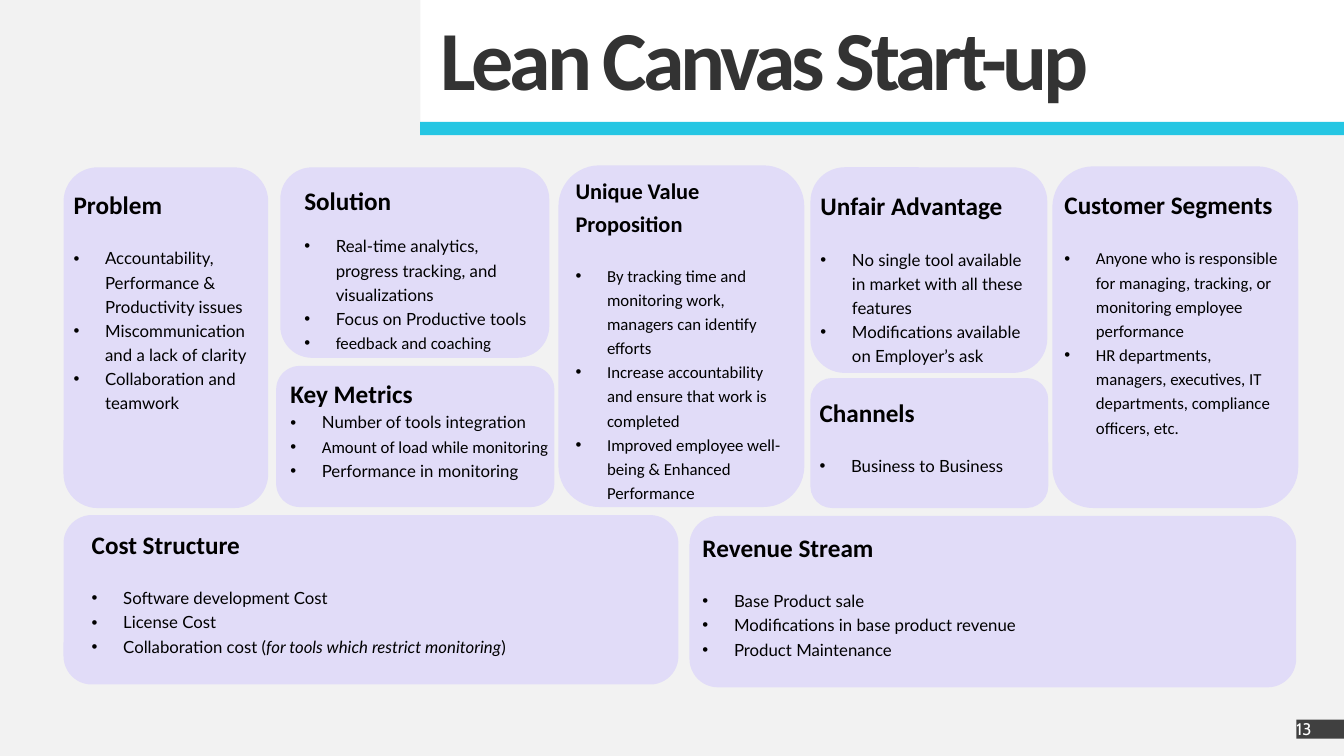
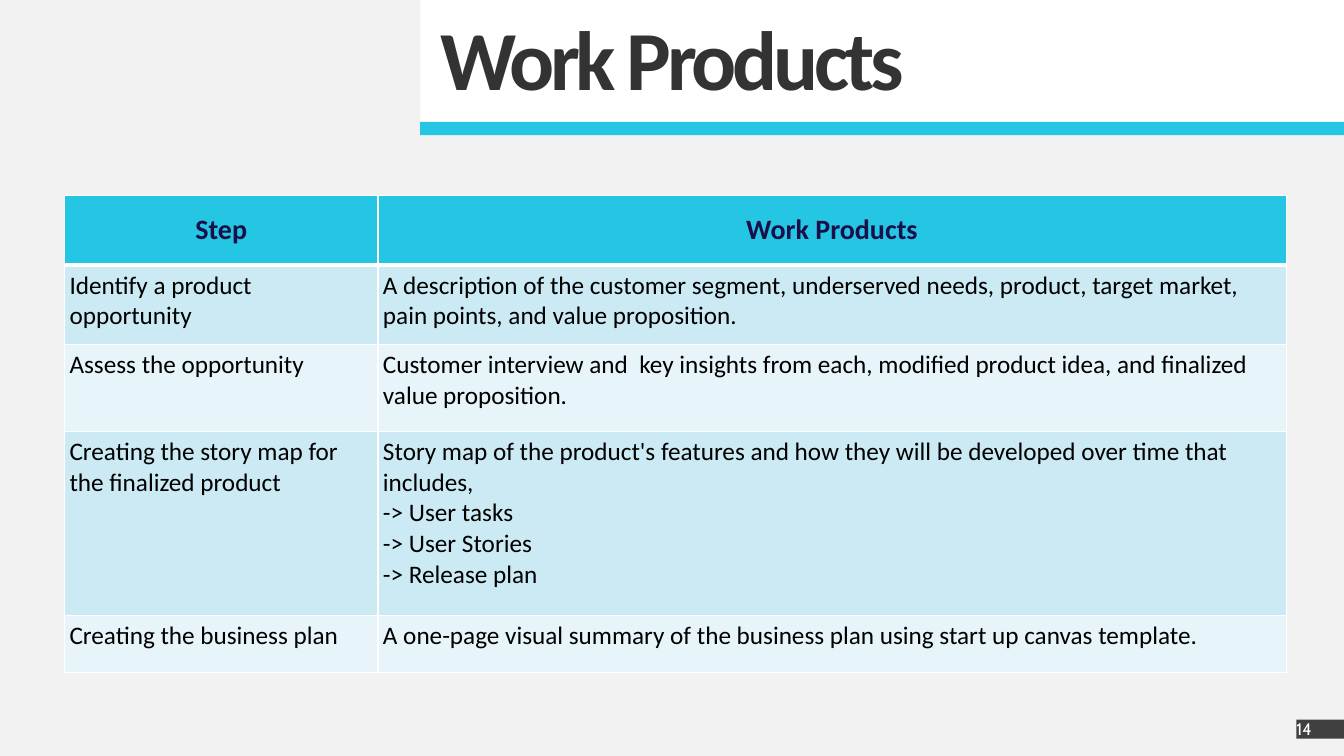
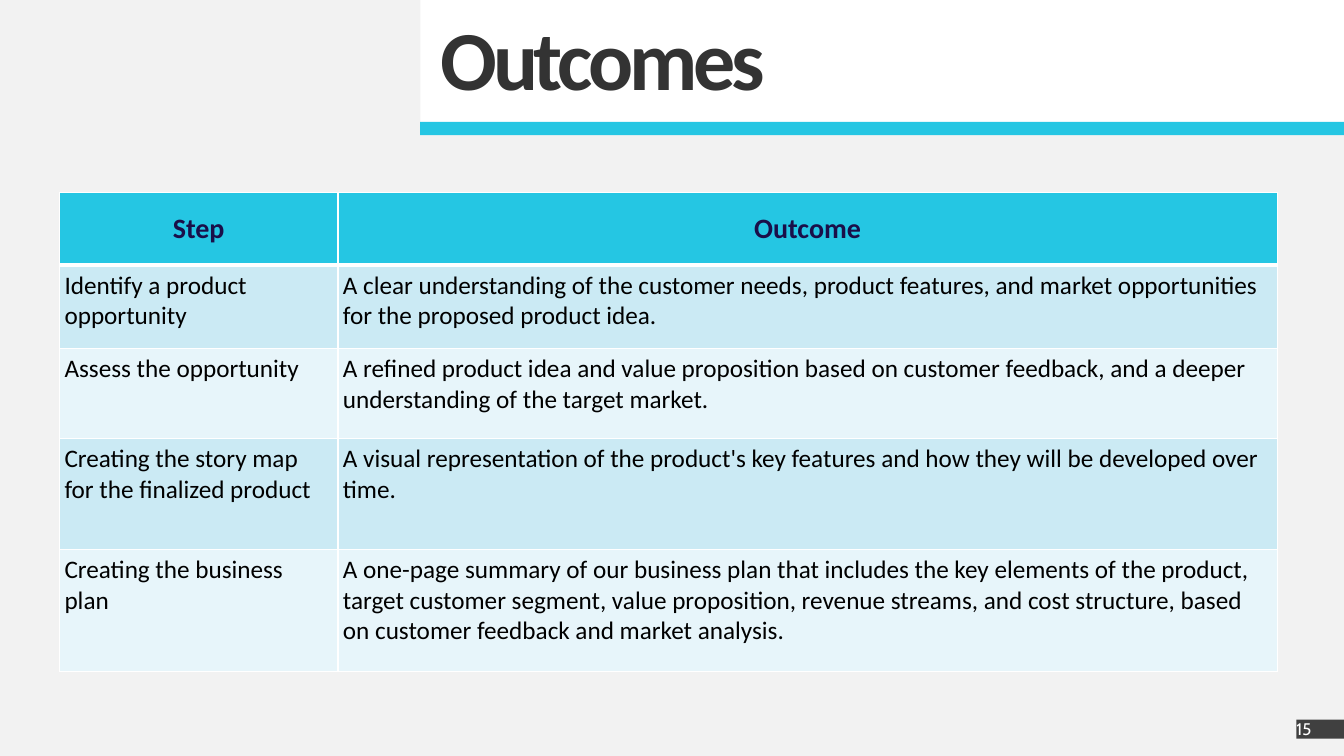
from dataclasses import dataclass

from lxml import etree
from pptx import Presentation
from pptx.dml.color import RGBColor
from pptx.enum.shapes import MSO_SHAPE
from pptx.enum.text import MSO_ANCHOR, MSO_AUTO_SIZE, PP_ALIGN
from pptx.oxml.ns import qn
from pptx.util import Pt

RECTANGLE = MSO_SHAPE.RECTANGLE
ROUNDED = MSO_SHAPE.ROUNDED_RECTANGLE
TOP, MIDDLE = MSO_ANCHOR.TOP, MSO_ANCHOR.MIDDLE
LEFT, CENTER = PP_ALIGN.LEFT, PP_ALIGN.CENTER
NO_AUTOFIT = MSO_AUTO_SIZE.NONE
TITLE_ONLY = 5


@dataclass(frozen=True)
class Theme:
    background: str = "F2F2F2"
    white: str = "FFFFFF"
    accent: str = "25C6E3"
    card: str = "E1DCF8"
    title: str = "333333"
    text: str = "000000"
    table_heading: str = "1A0F49"
    row_bands: tuple = ("CBEAF4", "E7F5FA")
    number_box: str = "404040"
    main_font: str = "Calibri"
    list_font: str = "Lato"
    number_font: str = "Cabin"
    title_size: float = 60
    table_heading_size: float = 20
    heading_size: float = 18
    small_heading_size: float = 16
    cell_size: float = 18
    list_size: float = 12


THEME = Theme()


@dataclass(frozen=True)
class Card:
    """A rounded panel with the box of its text; items are strings or lists of (text, format)."""
    heading: str
    panel: tuple
    text_box: tuple
    items: list
    font: str = THEME.list_font
    heading_size: float = THEME.heading_size
    gap: float = 17.6


CARDS = [
    Card("Problem", (45.4, 119.5, 146.2, 243.4), (49, 127.4, 136, 164),
         ["Accountability, Performance & Productivity issues",
          "Miscommunication and a lack of clarity",
          "Collaboration and teamwork"]),
    Card("Solution", (200.2, 119.5, 192.2, 136.1), (213.8, 124.6, 177.8, 142.6),
         ["Real-time analytics, progress tracking, and visualizations",
          "Focus on Productive tools",
          [("feedback and coaching", {"font": THEME.main_font})]],
         gap=11.7),
    Card("Key Metrics", (197.3, 261.4, 198.7, 100.8), (203.8, 262.1, 195.8, 96.5),
         ["Number of tools integration",
          [("Amount of load while monitoring", {"font": THEME.main_font})],
          "Performance in monitoring"],
         gap=0),
    Card("Unique Value Proposition", (398.9, 118.1, 175.7, 244.1), (407.5, 119.5, 162, 234.7),
         ["By tracking time and monitoring work, managers can identify efforts",
          "Increase accountability and ensure that work is completed",
          "Improved employee well-being & Enhanced Performance"],
         font=THEME.main_font, heading_size=THEME.small_heading_size),
    Card("Unfair Advantage", (578.9, 119.5, 169.2, 146.9), (582.5, 128.2, 154.1, 130.3),
         ["No single tool available in market with all these features",
          "Modifications available on Employer’s ask"]),
    Card("Channels", (578.9, 270, 169.9, 92.9), (581.8, 275.8, 165.6, 63.4),
         ["Business to Business"]),
    Card("Customer Segments", (751.7, 118.8, 175.7, 244.1), (756.7, 127.4, 164.2, 239.8),
         ["Anyone who is responsible for managing, tracking, or monitoring employee performance",
          "HR departments, managers, executives, IT departments, compliance officers, etc."],
         font=THEME.main_font),
    Card("Cost Structure", (45.4, 367.9, 439.2, 121), (61.9, 370.1, 346.3, 96.5),
         ["Software development Cost",
          "License Cost",
          [("Collaboration cost (", {}),
           ("for tools which restrict monitoring", {"italic": True}),
           (")", {})]]),
    Card("Revenue Stream", (492.5, 368.6, 433.4, 122.4), (498.2, 372.2, 346.3, 96.5),
         ["Base Product sale",
          "Modifications in base product revenue",
          "Product Maintenance"]),
]

STEPS = [
    "Identify a product opportunity",
    "Assess the opportunity",
    "Creating the story map for the finalized product",
    "Creating the business plan",
]
WORK_PRODUCTS = [
    "A description of the customer segment, underserved needs, product, target market, "
    "pain points, and value proposition.",
    "Customer interview and  key insights from each, modified product idea, and finalized "
    "value proposition.",
    "Story map of the product's features and how they will be developed over time that includes,\n"
    "-> User tasks\n-> User Stories\n-> Release plan",
    "A one-page visual summary of the business plan using start up canvas template.",
]
OUTCOMES = [
    "A clear understanding of the customer needs, product features, and market opportunities "
    "for the proposed product idea.",
    "A refined product idea and value proposition based on customer feedback, and a deeper "
    "understanding of the target market.",
    "A visual representation of the product's key features and how they will be developed "
    "over time.",
    "A one-page summary of our business plan that includes the key elements of the product, "
    "target customer segment, value proposition, revenue streams, and cost structure, based on "
    "customer feedback and market analysis.",
]


def points(*lengths):
    return [Pt(length) for length in lengths]


def write(paragraph, text, size, color=THEME.text, font=THEME.main_font, bold=False,
          italic=False, tracking=None):
    run = paragraph.add_run()
    run.text = text
    run.font.name = font
    run.font.size = Pt(size)
    run.font.bold = bold
    run.font.italic = italic
    run.font.color.rgb = RGBColor.from_string(color)
    if tracking is not None:
        run._r.get_or_add_rPr().set("spc", str(round(tracking * 100)))


def paint(target, color):
    target.fill.solid()
    target.fill.fore_color.rgb = RGBColor.from_string(color)


def set_frame(frame, margin, anchor=TOP):
    frame.word_wrap = True
    frame.auto_size = NO_AUTOFIT
    frame.vertical_anchor = anchor
    frame.margin_left = frame.margin_top = Pt(margin)
    frame.margin_right = frame.margin_bottom = Pt(margin)


def add_bullet(paragraph, indent=22.5):
    properties = paragraph._p.get_or_add_pPr()
    properties.set("marL", str(Pt(indent)))
    properties.set("indent", str(-Pt(indent)))
    etree.SubElement(properties, qn("a:buFont")).set("typeface", "Arial")
    etree.SubElement(properties, qn("a:buChar")).set("char", "•")


def set_borders(cell, color, bottom_width):
    properties = cell._tc.get_or_add_tcPr()
    for side, width in (("L", 1), ("R", 1), ("T", 1), ("B", bottom_width)):
        line = etree.SubElement(properties, qn(f"a:ln{side}"), w=str(Pt(width)))
        fill = etree.SubElement(line, qn("a:solidFill"))
        etree.SubElement(fill, qn("a:srgbClr"), val=color)


class Deck:
    """Holds the theme and the slide being built."""

    def __init__(self, theme, first_number):
        self.theme = theme
        self.number = first_number
        self.slide = None
        self.presentation = Presentation()
        self.presentation.slide_width, self.presentation.slide_height = points(960, 540)
        paint(self.presentation.slide_master.background, theme.background)

    def new_slide(self, title):
        layout = self.presentation.slide_layouts[TITLE_ONLY]
        self.slide = self.presentation.slides.add_slide(layout)
        self.add_title(title)
        self.add_panel((300.2, 87.1, 659.8, 9.4), self.theme.accent)
        self.add_number()

    def add_title(self, text):
        theme = self.theme
        title = self.slide.shapes.title
        title.left, title.top, title.width, title.height = points(300.2, -1.4, 659.8, 88.5)
        paint(title, theme.white)
        set_frame(title.text_frame, 14.4)
        paragraph = title.text_frame.paragraphs[0]
        paragraph.alignment = LEFT
        paragraph.line_spacing = 0.9
        write(paragraph, text, theme.title_size, theme.title, bold=True, tracking=-3)

    def add_panel(self, box, color, kind=RECTANGLE):
        shape = self.slide.shapes.add_shape(kind, *points(*box))
        shape.shadow.inherit = False
        shape.line.fill.background()
        paint(shape, color)
        return shape

    def add_number(self):
        theme = self.theme
        frame = self.add_panel((926, 514, 34, 13.7), theme.number_box).text_frame
        set_frame(frame, 0, MIDDLE)
        frame.paragraphs[0].alignment = LEFT
        write(frame.paragraphs[0], str(self.number), 12, theme.white, theme.number_font)
        self.number += 1

    def add_card(self, card):
        self.add_panel(card.panel, self.theme.card, ROUNDED)
        frame = self.slide.shapes.add_textbox(*points(*card.text_box)).text_frame
        set_frame(frame, 3.6)
        heading = frame.paragraphs[0]
        heading.line_spacing = 1.2
        heading.space_after = Pt(card.gap)
        write(heading, card.heading, card.heading_size, bold=True)
        for item in card.items:
            paragraph = frame.add_paragraph()
            paragraph.line_spacing = 1.2
            add_bullet(paragraph)
            for text, style in [(item, {})] if isinstance(item, str) else item:
                write(paragraph, text, self.theme.list_size, **{"font": card.font, **style})

    def add_table(self, corner, column_widths, row_heights, rows):
        """Draw rows of text; the first row is the heading."""
        size = sum(column_widths), sum(row_heights)
        table = self.slide.shapes.add_table(
            len(rows), len(column_widths), *points(*corner, *size)).table
        table.horz_banding = False
        for column, width in zip(table.columns, column_widths):
            column.width = Pt(width)
        for index, (row, height, texts) in enumerate(zip(table.rows, row_heights, rows)):
            row.height = Pt(height)
            for cell, text in zip(row.cells, texts):
                self.fill_cell(cell, text, index)

    def fill_cell(self, cell, text, row_index):
        theme = self.theme
        is_heading = row_index == 0
        set_borders(cell, theme.white, 3 if is_heading else 1)
        paint(cell, theme.accent if is_heading else theme.row_bands[(row_index - 1) % 2])
        cell.vertical_anchor = MIDDLE if is_heading else TOP
        cell.margin_left = cell.margin_right = Pt(3.6)
        cell.margin_top = cell.margin_bottom = Pt(3.6)
        cell.text_frame.word_wrap = True
        for number, line in enumerate(text.split("\n")):
            frame = cell.text_frame
            paragraph = frame.add_paragraph() if number else frame.paragraphs[0]
            if is_heading:
                paragraph.alignment = CENTER
                write(paragraph, line, theme.table_heading_size, theme.table_heading, bold=True)
            else:
                write(paragraph, line, theme.cell_size)


def main():
    deck = Deck(THEME, first_number=13)

    deck.new_slide("Lean Canvas Start-up")
    for card in CARDS:
        deck.add_card(card)

    deck.new_slide("Work Products")
    deck.add_table((46.1, 139.7), (223.9, 648.7), (49.7, 56.9, 61.9, 131.5, 40.6),
                   [("Step", "Work Products"), *zip(STEPS, WORK_PRODUCTS)])

    deck.new_slide("Outcomes")
    deck.add_table((42.5, 137.5), (198.9, 671), (51.8, 59.8, 64.1, 79.2, 87.1),
                   [("Step", "Outcome"), *zip(STEPS, OUTCOMES)])

    deck.presentation.save("out.pptx")


if __name__ == "__main__":
    main()
